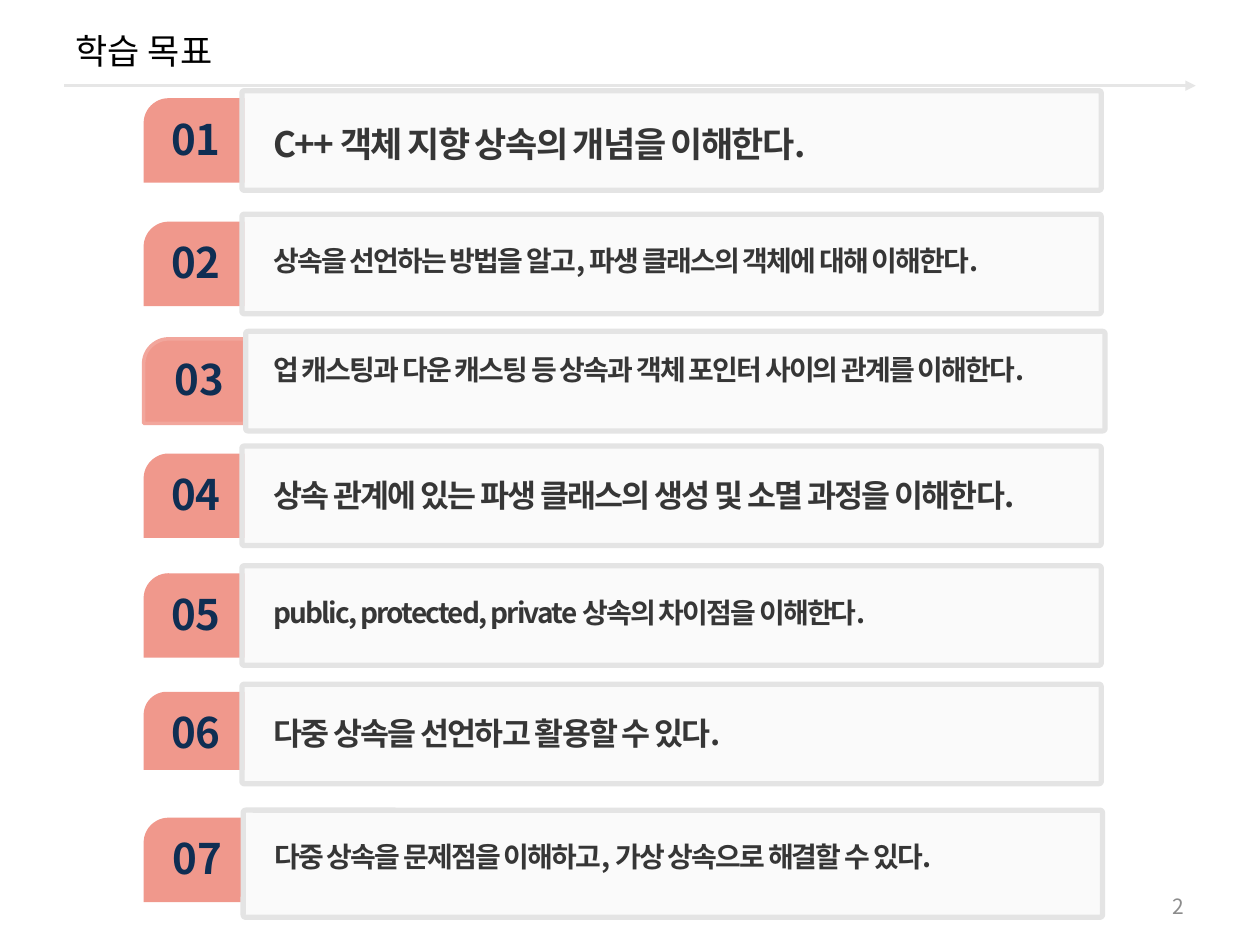
import dataclasses

import pptx
import pptx.dml.color
import pptx.enum.shapes
import pptx.enum.text
import pptx.oxml.ns
import pptx.util
from lxml import etree

COLORS = {
    "black": "000000",
    "rule": "E6E6E6",
    "tab": "F0988C",
    "tab_edge": "F2A69C",
    "panel": "F2F2F2",
    "panel_edge": "E4E4E4",
    "number": "0F2E53",
    "goal": "363636",
    "page": "8C8C8C",
}
FONT = "Noto Sans CJK KR"
COLS, ROWS = 100, 75
SHAPE = pptx.enum.shapes.MSO_SHAPE
ALIGN = pptx.enum.text.PP_ALIGN
ANCHOR = pptx.enum.text.MSO_ANCHOR
qn = pptx.oxml.ns.qn

prs = pptx.Presentation()
prs.slide_width = pptx.util.Inches(10)
prs.slide_height = pptx.util.Inches(7.5)


@dataclasses.dataclass
class Goal:
    text: str
    size: int
    row: float
    text_width: float
    text_drop: float = 1.6
    shift: float = 0
    text_shift: float = 0
    tab_height: float = 6.7
    panel_height: float = 7.9
    tab_edge: bool = False


GOALS = [
    Goal("C++ 객체 지향 상속의 개념을 이해한다.", 20, 7.2, 62.7, text_drop=1.7),
    Goal("상속을 선언하는 방법을 알고, 파생 클래스의 객체에 대해 이해한다.", 16, 17, 60.6),
    Goal("업 캐스팅과 다운 캐스팅 등 상속과 객체 포인터 사이의 관계를 이해한다.", 16, 26.3, 64.2,
         text_drop=0.9, shift=0.3, tab_edge=True),
    Goal("상속 관계에 있는 파생 클래스의 생성 및 소멸 과정을 이해한다.", 18, 35.4, 66.1),
    Goal("public, protected, private 상속의 차이점을 이해한다.", 16, 44.9, 67),
    Goal("다중 상속을 선언하고 활용할 수 있다.", 18, 54.3, 64.5, tab_height=6.2),
    Goal("다중 상속을 문제점을 이해하고, 가상 상속으로 해결할 수 있다.", 16, 64.3, 64.5,
         shift=0.1, text_shift=0.1, panel_height=8.5),
]


def x(col: float) -> int:
    return round(prs.slide_width * col / COLS)


def y(row: float) -> int:
    return round(prs.slide_height * row / ROWS)


def box(col: float, row: float, width: float, height: float) -> tuple[int, int, int, int]:
    return x(col), y(row), x(width), y(height)


def rgb(name: str) -> pptx.dml.color.RGBColor:
    return pptx.dml.color.RGBColor.from_string(COLORS[name])


def write(tf, text: str, size: int, color: str, align=ALIGN.LEFT,
          bold: bool = False, spacing: int = 0) -> None:
    tf.text = text
    p = tf.paragraphs[0]
    p.alignment = align
    r = p.runs[0]
    r.font.size = pptx.util.Pt(size)
    r.font.bold = bold
    r.font.name = FONT
    r.font.color.rgb = rgb(color)
    rpr = r.font._element
    if spacing:
        rpr.set("spc", str(spacing))
    etree.SubElement(rpr, qn("a:ea")).set("typeface", FONT)


def add_shape(shapes, kind, area, fill: str, edge: str = "", width: float = 0):
    sp = shapes.add_shape(kind, *area)
    sp.shadow.inherit = False
    sp.fill.solid()
    sp.fill.fore_color.rgb = rgb(fill)
    if edge:
        sp.line.color.rgb = rgb(edge)
        sp.line.width = pptx.util.Pt(width)
    else:
        sp.line.fill.background()
    return sp


def add_goal(slide, number: int, goal: Goal) -> None:
    shapes = slide.shapes.add_group_shape().shapes
    tab = add_shape(shapes, SHAPE.SNIP_ROUND_RECTANGLE,
                    box(11.4, goal.row + 0.6, 8, goal.tab_height),
                    "tab", "tab_edge" if goal.tab_edge else "", 2)
    tab.adjustments[0], tab.adjustments[1] = 0.296, 0

    tf = shapes.add_textbox(*box(12.6 + goal.shift, goal.row + 1.3, 5.9, 5)).text_frame
    tf.word_wrap = False
    write(tf, f"{number:02}", 24, "number", ALIGN.CENTER, bold=True)

    panel = add_shape(shapes, SHAPE.ROUNDED_RECTANGLE,
                      box(19.2 + goal.shift, goal.row, 68.2, goal.panel_height),
                      "panel", "panel_edge", 3)
    panel.adjustments[0] = 0.023
    color = panel._element.spPr.find(qn("a:solidFill"))[0]
    etree.SubElement(color, qn("a:alpha")).set("val", "33000")

    tf = shapes.add_textbox(*box(20.7 + goal.text_shift, goal.row + goal.text_drop,
                                 goal.text_width, 4.4)).text_frame
    tf.word_wrap = True
    write(tf, goal.text, goal.size, "goal", bold=True, spacing=-100)
    tf.paragraphs[0].line_spacing = 1.1
    tf.paragraphs[0].space_after = pptx.util.Pt(3)


def add_rule(slide) -> None:
    rule = slide.shapes.add_connector(pptx.enum.shapes.MSO_CONNECTOR.STRAIGHT,
                                      x(5.1), y(6.8), x(94.9), y(6.8))
    rule.line.color.rgb = rgb("rule")
    rule.line.width = pptx.util.Pt(1.5)
    etree.SubElement(rule.line._get_or_add_ln(), qn("a:tailEnd")).set("type", "triangle")
    etree.SubElement(rule._element.spPr, qn("a:effectLst"))


def add_title(slide, text: str) -> None:
    title = slide.shapes.title
    title.left, title.top, title.width, title.height = box(5, 0.8, 90, 6.4)
    title.text_frame.vertical_anchor = ANCHOR.MIDDLE
    write(title.text_frame, text, 20, "black")


def add_page_number(slide, number: int) -> None:
    tf = slide.shapes.add_textbox(*box(71.7, 70.3, 23.3, 3.2)).text_frame
    tf.word_wrap = True
    tf.vertical_anchor = ANCHOR.MIDDLE
    write(tf, str(number), 12, "page", ALIGN.RIGHT)


def main() -> None:
    slide = prs.slides.add_slide(prs.slide_layouts[5])
    add_rule(slide)
    add_title(slide, "학습 목표")
    add_page_number(slide, 2)
    for number, goal in enumerate(GOALS, 1):
        add_goal(slide, number, goal)
    prs.save("out.pptx")


if __name__ == "__main__":
    main()
